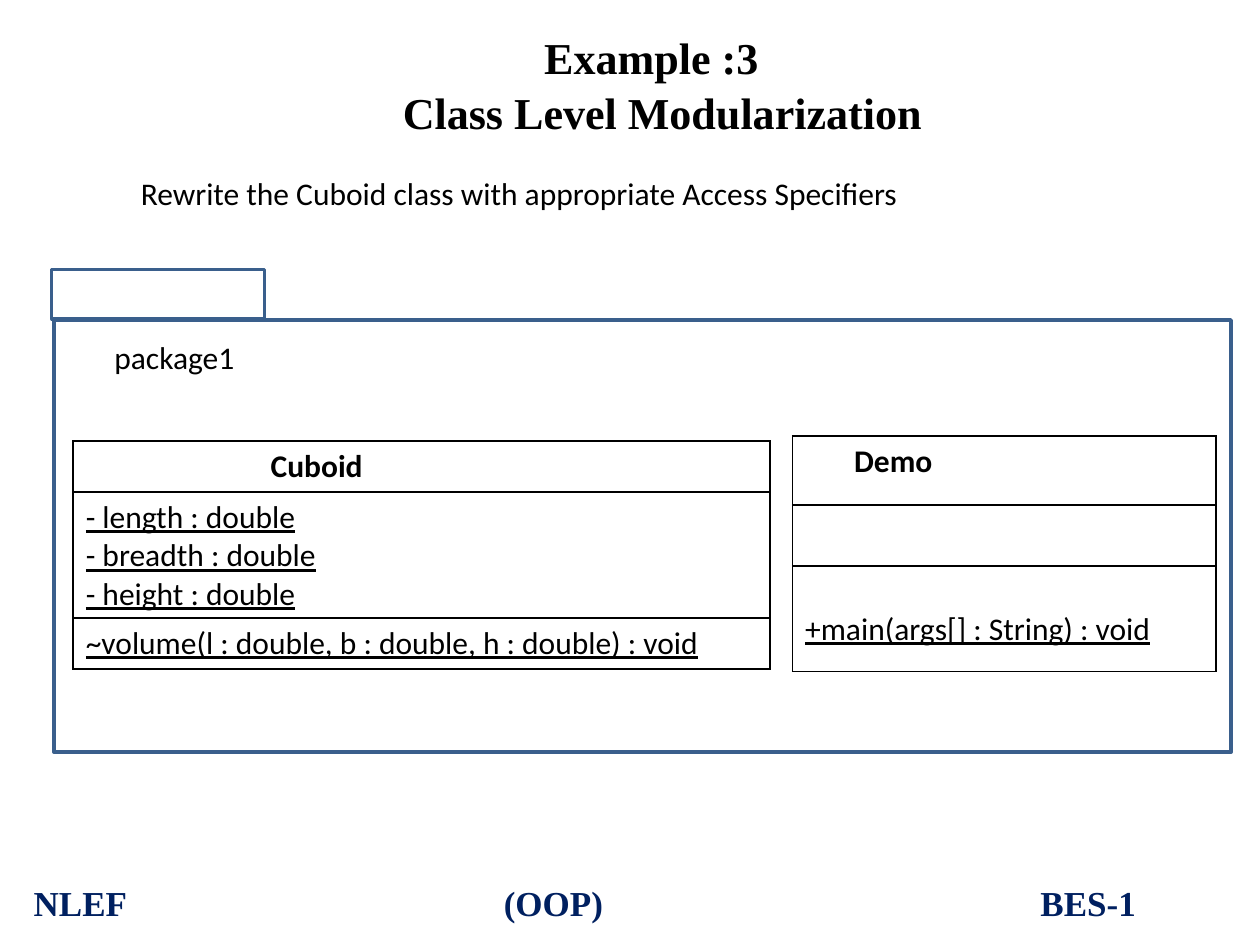
from lxml import etree
from pptx import Presentation, util as u
from pptx.dml.color import RGBColor
from pptx.enum import shapes, text
from pptx.oxml.ns import qn

Pt = u.Pt
BLACK = RGBColor(0x00, 0x00, 0x00)
NAVY = RGBColor(0x00, 0x20, 0x60)
FRAME = RGBColor(0x3A, 0x5F, 0x8C)
SERIF, SANS = "Times New Roman", "Calibri"


def add_run(p, words, size=18, font=SANS, color=BLACK, bold=False, underline=None):
    r = p.add_run()
    r.text = words
    r.font.size, r.font.name = Pt(size), font
    r.font.bold, r.font.underline = bold, underline
    r.font.color.rgb = color


def add_box(s, left, top, width, height, anchor=text.MSO_ANCHOR.TOP):
    tf = s.shapes.add_textbox(Pt(left), Pt(top), Pt(width), Pt(height)).text_frame
    tf.word_wrap = True
    tf.vertical_anchor = anchor
    return tf


prs = Presentation()
prs.slide_width, prs.slide_height = Pt(720), Pt(540)
s = prs.slides.add_slide(prs.slide_layouts[6])

# Title, second line nudged right
tf = add_box(s, 90, 22.3, 564.5, 51.8, text.MSO_ANCHOR.MIDDLE)
p = tf.paragraphs[0]
p.alignment = text.PP_ALIGN.CENTER
add_run(p, "Example :3", 25.2, SERIF, bold=True)
p = tf.add_paragraph()
p.alignment = text.PP_ALIGN.CENTER
p.space_before = Pt(1.5)
p._p.get_or_add_pPr().set("marL", str(Pt(12.6)))
add_run(p, "Class Level Modularization", 25.2, SERIF, bold=True)

# Footer on tab stops
p = add_box(s, 12.2, 496.8, 686.9, 37.4, text.MSO_ANCHOR.MIDDLE).paragraphs[0]
tabs = etree.SubElement(p._p.get_or_add_pPr(), qn("a:tabLst"))
for pos in (268.6, 575.3):
    etree.SubElement(tabs, qn("a:tab"), pos=str(Pt(pos)), algn="l")
add_run(p, "NLEF\t(OOP)\tBES-1", 20, SERIF, NAVY, bold=True)

# Task and package name
for words, left, top, width in (
    ("Rewrite the Cuboid class with appropriate Access Specifiers", 73.4, 95.8, 595.4),
    ("package1", 58.3, 189.4, 105.1),
):
    add_run(add_box(s, left, top, width, 36).paragraphs[0], words)

# Class tables: place, row heights, name, name indent, attributes, method, method drop
classes = [
    (41.8, 252, 398.2, (29.2, 72, 29.2), "Cuboid", 105.7,
     ["- length : double", "- breadth : double", "- height : double"],
     "~volume(l : double, b : double, h : double) : void", 0),
    (452.9, 249.1, 241.9, (39.6, 34.6, 60.5), "Demo", 28,
     [], "+main(args[] : String) : void", 22),
]
for left, top, width, heights, name, indent, attributes, method, drop in classes:
    table = s.shapes.add_table(3, 1, Pt(left), Pt(top), Pt(width), Pt(sum(heights))).table
    table.columns[0].width = Pt(width)
    for i, lines in enumerate(([name], attributes, [method])):
        table.rows[i].height = Pt(heights[i])
        cell = table.cell(i, 0)
        tcPr = cell._tc.get_or_add_tcPr()
        for side in ("a:lnL", "a:lnR", "a:lnT", "a:lnB"):
            ln = etree.SubElement(tcPr, qn(side), w=str(Pt(1)))
            fill = etree.SubElement(ln, qn("a:solidFill"))
            etree.SubElement(fill, qn("a:srgbClr"), val=str(BLACK))
        cell.fill.background()
        tf = cell.text_frame
        for n, line in enumerate(lines):
            p = tf.add_paragraph() if n else tf.paragraphs[0]
            add_run(p, line, bold=i == 0, underline=i > 0)
    table.cell(0, 0).margin_left = Pt(7.2 + indent)
    table.cell(2, 0).margin_top = Pt(3.6 + drop)

# Package frame and its tab
for left, top, width, height in ((31, 182.9, 672.5, 247), (29.5, 154.1, 121.7, 28.1)):
    sp = s.shapes.add_shape(shapes.MSO_SHAPE.RECTANGLE, Pt(left), Pt(top), Pt(width), Pt(height))
    sp.shadow.inherit = False
    sp.fill.background()
    sp.line.color.rgb = FRAME
    sp.line.width = Pt(2)

prs.save("out.pptx")
